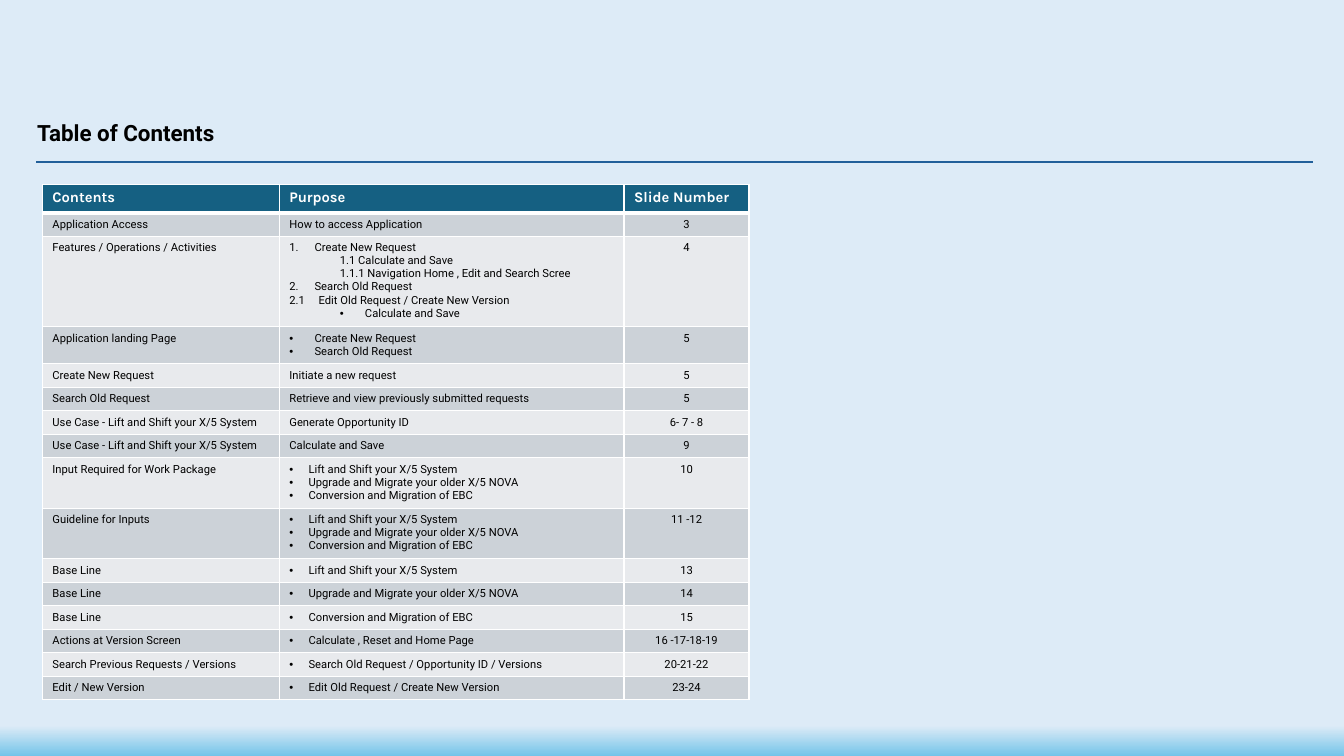
from lxml import etree
from pptx import Presentation
from pptx.dml.color import RGBColor
from pptx.enum.shapes import MSO_CONNECTOR
from pptx.enum.text import PP_ALIGN
from pptx.oxml.ns import qn
from pptx.util import Inches, Pt

STRAIGHT = MSO_CONNECTOR.STRAIGHT
LEFT, CENTER = PP_ALIGN.LEFT, PP_ALIGN.CENTER

COLORS = {
    "sky": "DDEBF7", "horizon": "74C4E9", "rule": "215F9A", "header": "156082",
    "odd_row": "CCD2D8", "even_row": "E8EAED", "white": "FFFFFF", "black": "000000",
}
TITLE = {"name": "Roboto", "size": Pt(16), "bold": True, "color": "black"}
HEADER = {"name": "Karla", "size": Pt(10.5), "bold": True, "color": "white"}
BODY = {"name": "Roboto", "size": Pt(8), "bold": False, "color": "black"}

# Paragraph styles: level, left margin, first-line indent, bullet tag and attributes
DOT = ("a:buChar", {"char": "•"})
NUMBER = ("a:buAutoNum", {"type": "arabicPeriod"})
STYLES = {
    "plain": (0, 0, 0, None),
    "number": (0, 0.25, -0.25, NUMBER),
    "sub": (1, 0.5, 0, None),
    "hanging": (0, 0.29, -0.29, None),
    "sub_dot": (1, 0.75, -0.25, DOT),
    "wide_dot": (0, 0.25, -0.25, DOT),
    "dot": (0, 0.19, -0.19, DOT),
}

LIFT = "Lift and Shift your X/5 System"
UPGRADE = "Upgrade and Migrate your older X/5 NOVA"
CONVERT = "Conversion and Migration of EBC"
CREATE, SEARCH, SAVE = "Create New Request", "Search Old Request", "Calculate and Save"
EDIT = "Edit Old Request / Create New Version"
USE_CASE = f"Use Case - {LIFT}"


def styled(style, *lines):
    return [(style, line) for line in lines]


HEADINGS = ["Contents", "Purpose", "Slide Number"]
ENTRIES = [
    ("Application Access", styled("plain", "How to access Application"), "3"),
    ("Features / Operations / Activities", [
        ("number", CREATE),
        ("sub", f"1.1 {SAVE}"),
        ("sub", "1.1.1 Navigation Home , Edit and Search Scree"),
        ("number", SEARCH),
        ("hanging", f"2.1\t{EDIT}"),
        ("sub_dot", SAVE),
    ], "4"),
    ("Application landing Page", styled("wide_dot", CREATE, SEARCH), "5"),
    (CREATE, styled("plain", "Initiate a new request"), "5"),
    (SEARCH, styled("plain", "Retrieve and view previously submitted requests"), "5"),
    (USE_CASE, styled("plain", "Generate Opportunity ID"), "6- 7 - 8"),
    (USE_CASE, styled("plain", SAVE), "9"),
    ("Input Required for Work Package", styled("dot", LIFT, UPGRADE, CONVERT), "10"),
    ("Guideline for Inputs", styled("dot", LIFT, UPGRADE, CONVERT), "11 -12"),
    ("Base Line", styled("dot", LIFT), "13"),
    ("Base Line", styled("dot", UPGRADE), "14"),
    ("Base Line", styled("dot", CONVERT), "15"),
    ("Actions at Version Screen", styled("dot", "Calculate , Reset and Home Page"), "16 -17-18-19"),
    ("Search Previous Requests / Versions",
     styled("dot", f"{SEARCH} / Opportunity ID / Versions"), "20-21-22"),
    ("Edit / New Version", styled("dot", EDIT), "23-24"),
]
COLUMN_WIDTHS = [2.35, 3.42, 1.24]
HEADER_HEIGHT, ROW_PADDING, LINE_HEIGHT = 0.28, 0.1, 0.13


def rgb(color):
    return RGBColor.from_string(COLORS[color])


def add_run(paragraph, text, font_format):
    run = paragraph.add_run()
    run.text = text
    for attribute, value in font_format.items():
        if attribute == "color":
            run.font.color.rgb = rgb(value)
        else:
            setattr(run.font, attribute, value)


def style_paragraph(paragraph, style):
    """Apply level, indents and bullet."""
    level, margin, indent, bullet = STYLES[style]
    paragraph.level = level
    properties = paragraph._p.get_or_add_pPr()
    properties.set("marL", str(Inches(margin)))
    properties.set("indent", str(Inches(indent)))
    tag, attributes = bullet or ("a:buNone", {})
    if bullet:
        etree.SubElement(properties, qn("a:buFont"), typeface="Arial")
    etree.SubElement(properties, qn(tag), attributes)


def set_borders(cell, bottom):
    properties = cell._tc.get_or_add_tcPr()
    widths = {"a:lnL": 1, "a:lnR": 1, "a:lnT": 1, "a:lnB": bottom}
    for position, (side, width) in enumerate(widths.items()):
        line = etree.Element(qn(side), w=str(Pt(width)))
        fill = etree.SubElement(line, qn("a:solidFill"))
        etree.SubElement(fill, qn("a:srgbClr"), val=COLORS["white"])
        properties.insert(position, line)


def fill_cell(cell, lines, font_format, color, align=LEFT, bottom=1):
    cell.fill.solid()
    cell.fill.fore_color.rgb = rgb(color)
    set_borders(cell, bottom)
    frame = cell.text_frame
    for index, (style, text) in enumerate(lines):
        paragraph = frame.add_paragraph() if index else frame.paragraphs[0]
        paragraph.alignment = align
        style_paragraph(paragraph, style)
        add_run(paragraph, text, font_format)


def add_contents_table(slide):
    heights = [HEADER_HEIGHT] + [
        ROW_PADDING + LINE_HEIGHT * len(purpose) for _, purpose, _ in ENTRIES]
    table = slide.shapes.add_table(
        len(heights), len(COLUMN_WIDTHS), Inches(0.42), Inches(1.83),
        Inches(sum(COLUMN_WIDTHS)), Inches(sum(heights))).table
    for column, width in zip(table.columns, COLUMN_WIDTHS):
        column.width = Inches(width)
    for row, height in zip(table.rows, heights):
        row.height = Inches(height)
    for column, heading in enumerate(HEADINGS):
        fill_cell(table.cell(0, column), styled("plain", heading), HEADER, "header", bottom=3)
    for row, (topic, purpose, pages) in enumerate(ENTRIES, start=1):
        color = "odd_row" if row % 2 else "even_row"
        fill_cell(table.cell(row, 0), styled("plain", topic), BODY, color)
        fill_cell(table.cell(row, 1), purpose, BODY, color)
        fill_cell(table.cell(row, 2), styled("plain", pages), BODY, color, CENTER)


def add_title(slide, text):
    title = slide.shapes.add_textbox(Inches(0.27), Inches(1.13), Inches(3.97), Inches(0.37))
    title.text_frame.word_wrap = True
    add_run(title.text_frame.paragraphs[0], text, TITLE)


def add_title_rule(slide):
    rule = slide.shapes.add_connector(
        STRAIGHT, Inches(0.36), Inches(1.61), Inches(13.02), Inches(1.61))
    rule.line.color.rgb = rgb("rule")
    rule.line.width = Pt(1.5)
    etree.SubElement(rule._element.spPr, qn("a:effectLst"))


def paint_background(slide):
    fill = slide.background.fill
    fill.gradient()
    fill.gradient_angle = 270
    for stop, color, position in zip(fill.gradient_stops, ("sky", "horizon"), (0.96, 1)):
        stop.color.rgb = rgb(color)
        stop.position = position


def main():
    presentation = Presentation()
    presentation.slide_width = Inches(13.33)
    presentation.slide_height = Inches(7.5)
    slide = presentation.slides.add_slide(presentation.slide_layouts[6])
    paint_background(slide)
    add_title(slide, "Table of Contents")
    add_title_rule(slide)
    add_contents_table(slide)
    presentation.save("out.pptx")


if __name__ == "__main__":
    main()
